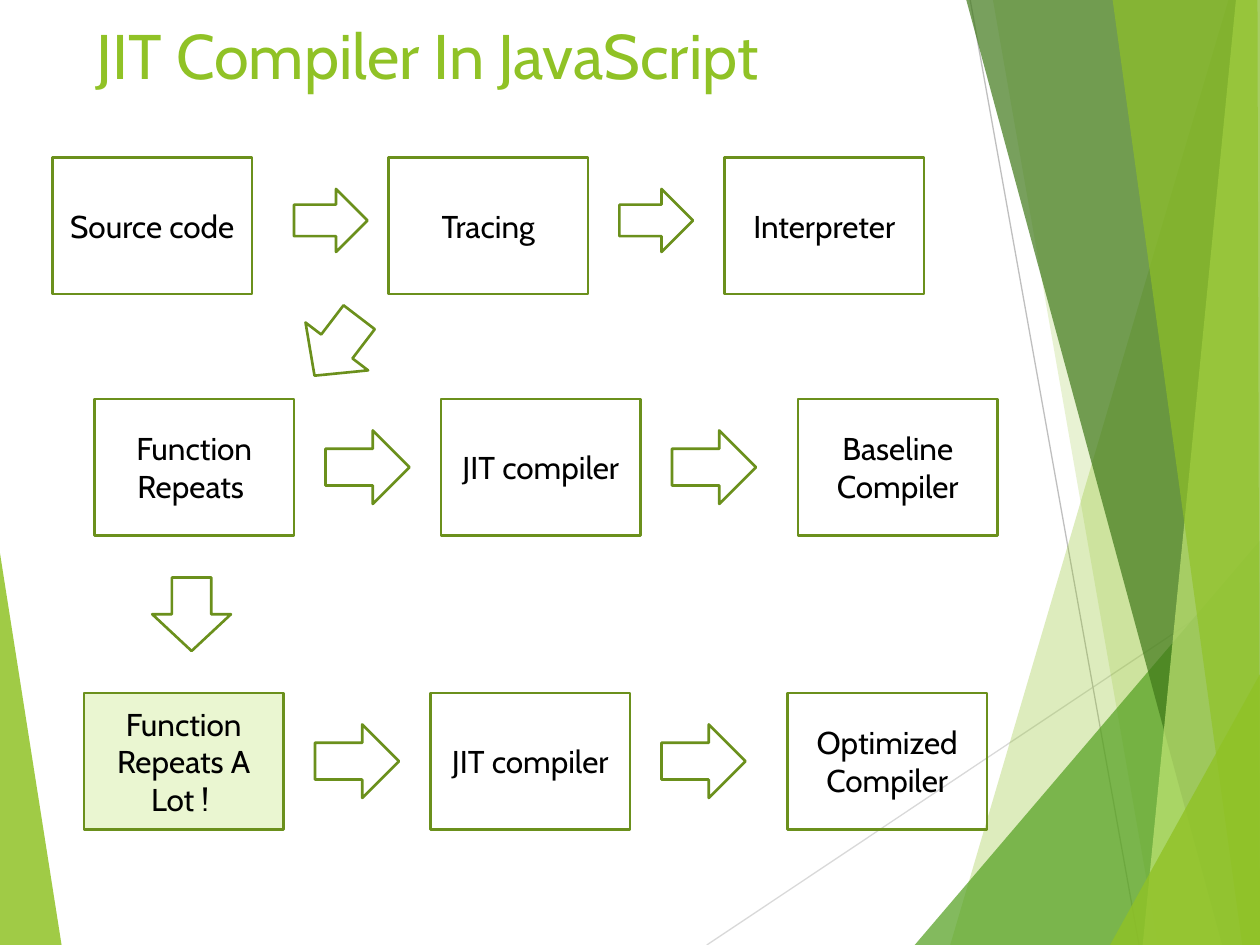
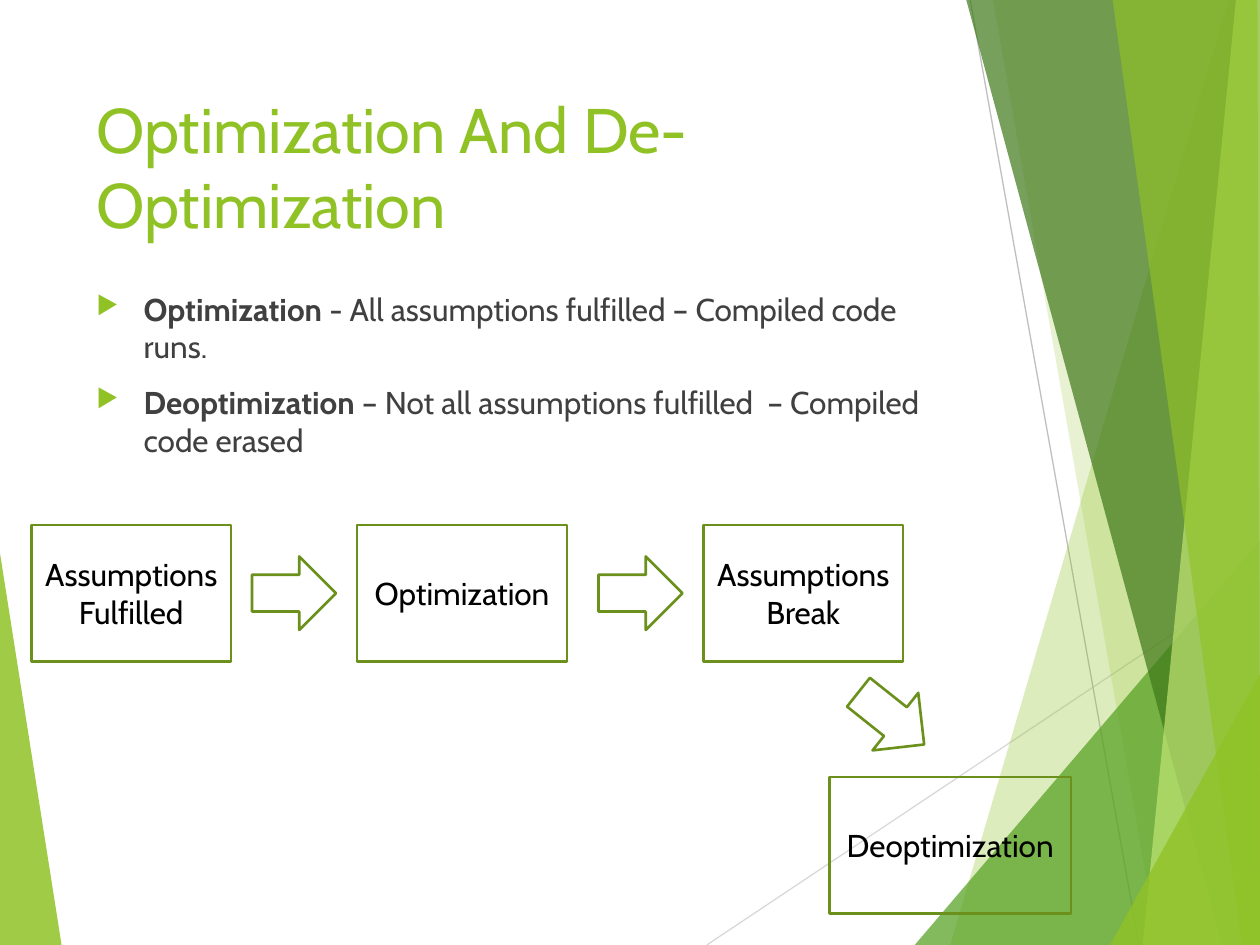
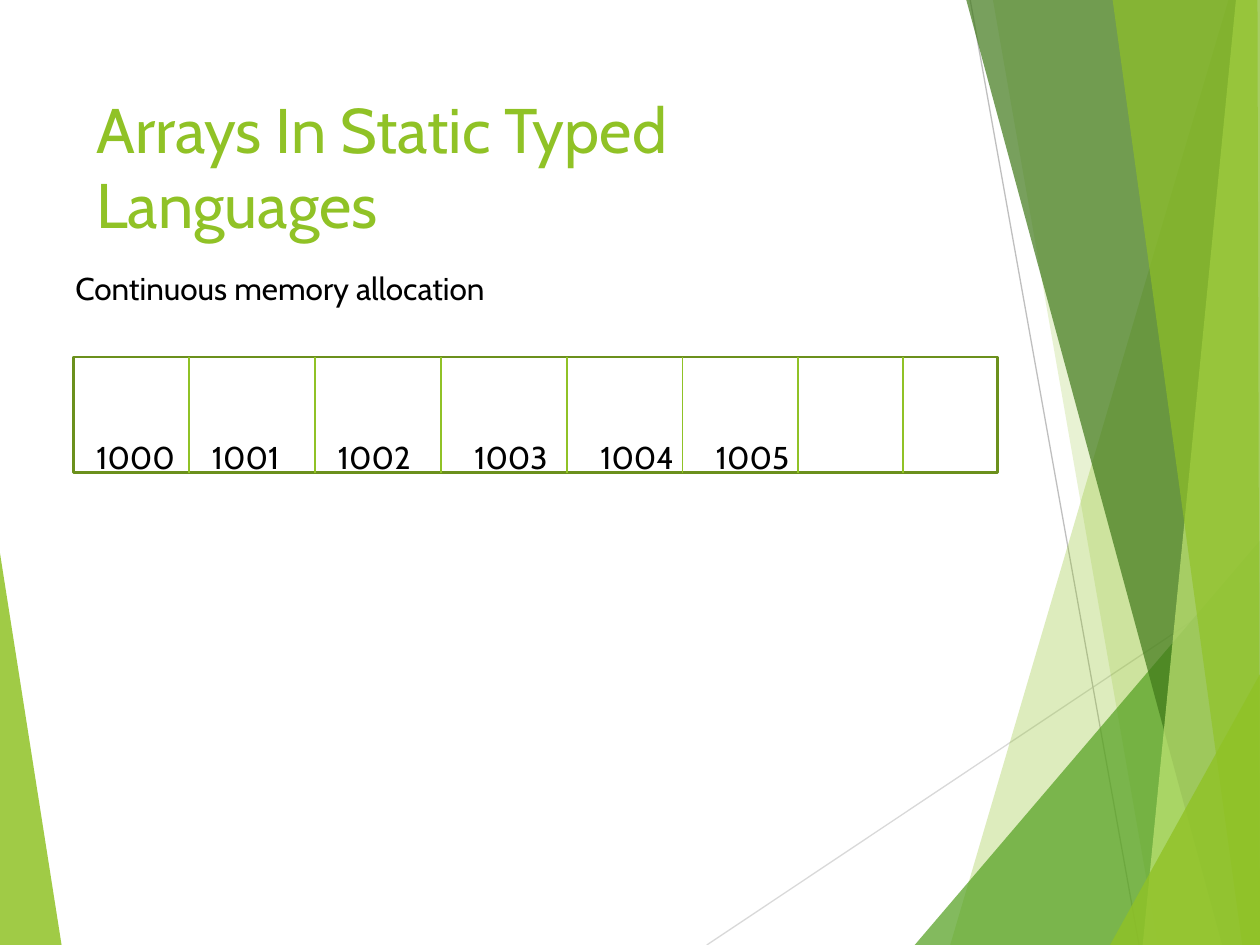
import dataclasses

import lxml.etree
import pptx
import pptx.dml.color
import pptx.enum.shapes
import pptx.enum.text
import pptx.oxml.ns
import pptx.util

Pt = pptx.util.Pt
qn = pptx.oxml.ns.qn
SHAPES = pptx.enum.shapes.MSO_SHAPE
ANCHOR = pptx.enum.text.MSO_ANCHOR
ALIGN = pptx.enum.text.PP_ALIGN


@dataclasses.dataclass(frozen=True)
class Theme:
    """Colours, font and sizes shared by all slides."""
    font: str = "Cabin"
    title_size: float = 36
    text_size: float = 18
    accent: str = "90C226"
    leaf: str = "54A021"
    forest: str = "3F7819"
    lime: str = "C0E474"
    outline: str = "6B901C"
    highlight: str = "EAF6D1"
    body: str = "404040"
    black: str = "000000"
    pale_rule: str = "D9D9D9"
    dark_rule: str = "BFBFBF"
    outline_width: float = 1.5
    divider_width: float = 1
    rule_width: float = 0.75


THEME = Theme()
WIDTH, HEIGHT = 720, 540
STEP_WIDTH, STEP_HEIGHT = 114, 78
ARROW_DROP = 18
TITLE_BOX = (48, 48, 500, 104)

RULES = [
    ((403.9, HEIGHT), (WIDTH, 329), THEME.pale_rule),
    ((554.4, 0), (650.9, HEIGHT), THEME.dark_rule),
]
FACETS = [
    ([(0, 316), (35.2, HEIGHT), (0, HEIGHT)], THEME.accent, 85),
    ([(702, 0), (543, HEIGHT), (WIDTH, HEIGHT), (WIDTH, 0)], THEME.accent, 30),
    ([(567.4, 0), (661.7, HEIGHT), (WIDTH, HEIGHT), (WIDTH, 0)], THEME.accent, 20),
    ([(522.7, HEIGHT), (WIDTH, 308.9), (WIDTH, HEIGHT)], THEME.leaf, 72),
    ([(552.2, 0), (698.4, HEIGHT), (WIDTH, HEIGHT), (WIDTH, 0)], THEME.forest, 70),
    ([(706.3, 0), (653, HEIGHT), (WIDTH, HEIGHT), (WIDTH, 0)], THEME.lime, 70),
    ([(635.8, 0), (709.9, HEIGHT), (WIDTH, HEIGHT), (718.6, 0)], THEME.accent, 65),
    ([(634.3, HEIGHT), (WIDTH, 385.2), (WIDTH, HEIGHT)], THEME.accent, 80),
]


def rgb(value):
    """Return a colour object for a hex value."""
    return pptx.dml.color.RGBColor.from_string(value)


def points(values):
    """Turn numbers into lengths in points."""
    return [Pt(value) for value in values]


def apply_format(target, formats):
    """Set each named attribute on the target."""
    for name, value in formats.items():
        setattr(target, name, value)


def add_run(paragraph, text, color=THEME.black, size=THEME.text_size, bold=False):
    """Add a formatted run to a paragraph."""
    run = paragraph.add_run()
    run.text = text
    apply_format(run.font, {"name": THEME.font, "size": Pt(size), "bold": bold})
    run.font.color.rgb = rgb(color)


def add_text(slide, box, text, color=THEME.black, size=THEME.text_size):
    """Place a wrapped one-paragraph text box."""
    frame = slide.shapes.add_textbox(*points(box)).text_frame
    frame.word_wrap = True
    add_run(frame.paragraphs[0], text, color, size)


def add_outlined(slide, kind, box, fill=None, rotation=0):
    """Place an outlined preset shape and return it."""
    shape = slide.shapes.add_shape(kind, *points(box))
    shape.shadow.inherit = False
    shape.rotation = rotation
    if fill:
        shape.fill.solid()
        shape.fill.fore_color.rgb = rgb(fill)
    else:
        shape.fill.background()
    shape.line.color.rgb = rgb(THEME.outline)
    shape.line.width = Pt(THEME.outline_width)
    return shape


def add_step(slide, box, text, fill=None):
    """Place a process box with a centred label."""
    frame = add_outlined(slide, SHAPES.RECTANGLE, box, fill).text_frame
    apply_format(frame, {"word_wrap": True, "vertical_anchor": ANCHOR.MIDDLE})
    frame.paragraphs[0].alignment = ALIGN.CENTER
    add_run(frame.paragraphs[0], text)


def add_rule(slide, start, end, color, width):
    """Draw a straight line without a shadow."""
    line = slide.shapes.add_connector(
        pptx.enum.shapes.MSO_CONNECTOR.STRAIGHT, *points(start + end))
    line.line.color.rgb = rgb(color)
    line.line.width = Pt(width)
    lxml.etree.SubElement(line._element.spPr, qn("a:effectLst"))


def add_facet(slide, corners, color, opacity):
    """Draw one translucent polygon."""
    first, *rest = [points(corner) for corner in corners]
    builder = slide.shapes.build_freeform(*first, scale=1.0)
    builder.add_line_segments(rest, close=True)
    shape = builder.convert_to_shape()
    shape.shadow.inherit = False
    shape.fill.solid()
    shape.fill.fore_color.rgb = rgb(color)
    shape.line.fill.background()
    color_element = shape._element.spPr.find(qn("a:solidFill"))[0]
    lxml.etree.SubElement(color_element, qn("a:alpha"), val=str(opacity * 1000))


def add_base_slide(presentation, title, title_box=TITLE_BOX):
    """Add a blank slide with the shared backdrop and title."""
    slide = presentation.slides.add_slide(presentation.slide_layouts[6])
    left_facet, *right_facets = FACETS
    add_facet(slide, *left_facet)
    for start, end, color in RULES:
        add_rule(slide, start, end, color, THEME.rule_width)
    for facet in right_facets:
        add_facet(slide, *facet)
    add_text(slide, title_box, title, THEME.accent, THEME.title_size)
    return slide


def add_flow_row(slide, origin, steps, arrow_offsets, arrow_size=(48, 42)):
    """Place a row of steps and the arrows between them from its top left."""
    left, top = origin
    for offset, text, *options in steps:
        width, fill = options or (STEP_WIDTH, None)
        add_step(slide, (left + offset, top, width, STEP_HEIGHT), text, fill)
    for offset in arrow_offsets:
        add_outlined(slide, SHAPES.RIGHT_ARROW,
                     (left + offset, top + ARROW_DROP, *arrow_size))


def add_bullets(slide, box, items):
    """Place a bulleted list of bold terms with explanations."""
    frame = slide.shapes.add_textbox(*points(box)).text_frame
    frame.word_wrap = True
    for index, (term, explanation) in enumerate(items):
        paragraph = frame.add_paragraph() if index else frame.paragraphs[0]
        paragraph.space_before = Pt(10)
        properties = paragraph._p.get_or_add_pPr()
        properties.set("marL", str(Pt(27)))
        properties.set("indent", str(-Pt(27)))
        color = lxml.etree.SubElement(properties, qn("a:buClr"))
        lxml.etree.SubElement(color, qn("a:srgbClr"), val=THEME.accent)
        lxml.etree.SubElement(properties, qn("a:buSzPct"), val="80000")
        lxml.etree.SubElement(properties, qn("a:buChar"), char="▶")
        add_run(paragraph, term, THEME.body, bold=True)
        add_run(paragraph, explanation, THEME.body)


def add_memory_strip(slide, box, cell_widths, labels):
    """Draw a strip of memory cells with addresses at the bottom."""
    left, top, _, height = box
    add_outlined(slide, SHAPES.RECTANGLE, box)
    edges = [left + sum(cell_widths[:count]) for count in range(len(cell_widths) + 1)]
    for edge in edges[1:]:
        add_rule(slide, (edge, top), (edge, top + height),
                 THEME.accent, THEME.divider_width)
    for edge, (text, shift) in zip(edges, labels):
        add_text(slide, (edge + shift, top + 42.5, 60, 29), text)


def build_compiler_slide(presentation):
    """Show the three compiler paths."""
    slide = add_base_slide(presentation, "JIT Compiler In JavaScript", (48, 6, 500, 104))
    add_flow_row(slide, (30, 90),
                 [(0, "Source code"), (192, "Tracing"), (384, "Interpreter")],
                 (138, 324), (42, 36))
    add_flow_row(slide, (54, 228),
                 [(0, "Function Repeats "), (198, "JIT compiler"),
                  (402, "Baseline Compiler")], (132, 330))
    add_flow_row(slide, (48, 396),
                 [(0, "Function Repeats A Lot ! ", STEP_WIDTH, THEME.highlight),
                  (198, "JIT compiler"), (402, "Optimized Compiler")], (132, 330))
    add_outlined(slide, SHAPES.DOWN_ARROW, (170, 177, 45, 42), rotation=37.4)
    add_outlined(slide, SHAPES.DOWN_ARROW, (87, 330, 45, 42))


def build_optimization_slide(presentation):
    """Explain optimization and its reversal."""
    slide = add_base_slide(presentation, "Optimization And De-Optimization")
    add_bullets(slide, (48, 162, 500, 130), [
        ("Optimization", " - All assumptions fulfilled – Compiled code runs. "),
        ("Deoptimization",
         " – Not all assumptions fulfilled  – Compiled code erased"),
    ])
    add_flow_row(slide, (18, 300),
                 [(0, "Assumptions Fulfilled"), (186, "Optimization", 120, None),
                  (384, "Assumptions Break")], (126, 324))
    add_step(slide, (474, 444, 138, STEP_HEIGHT), "Deoptimization")
    add_outlined(slide, SHAPES.RIGHT_ARROW, (485.3, 389.5, 48, 42), rotation=38.5)


def build_array_slide(presentation):
    """Show an array as adjoining memory cells."""
    slide = add_base_slide(presentation, "Arrays In Static Typed Languages")
    add_text(slide, (36, 150, 294, 29), "Continuous memory allocation")
    shifts = (6, 6, 6, 12, 12, 12)
    labels = [(str(1000 + index), shift) for index, shift in enumerate(shifts)]
    add_memory_strip(slide, (42, 204, 528, 66), (66, 72, 72, 72, 66, 66, 60), labels)


def main():
    """Build and save the presentation."""
    presentation = pptx.Presentation()
    apply_format(presentation, {"slide_width": Pt(WIDTH), "slide_height": Pt(HEIGHT)})
    build_compiler_slide(presentation)
    build_optimization_slide(presentation)
    build_array_slide(presentation)
    presentation.save("out.pptx")


main()
